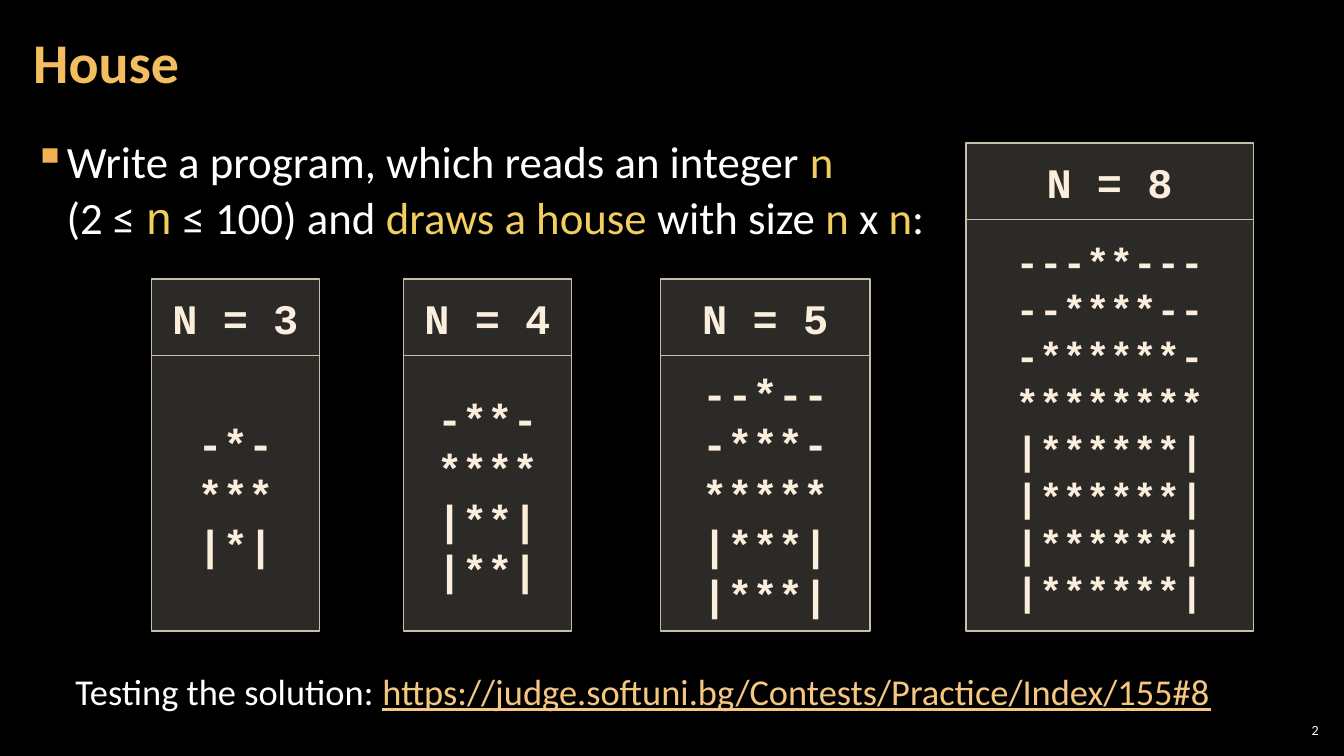
import pptx
import pptx.util
import pptx.dml.color
import pptx.enum.shapes
import pptx.enum.text
import pptx.oxml
import pptx.oxml.ns
from dataclasses import dataclass

Inches = pptx.util.Inches
Pt = pptx.util.Pt
Color = pptx.dml.color.RGBColor.from_string
Align = pptx.enum.text.PP_ALIGN
Anchor = pptx.enum.text.MSO_ANCHOR
qn = pptx.oxml.ns.qn


@dataclass(frozen=True)
class Theme:
    background: str = "000000"
    text: str = "FFFFFF"
    title: str = "F3BE60"
    highlight: str = "F3CD60"
    bullet: str = "F2B254"
    link: str = "F6C781"
    panel: str = "D9D5C7"
    panel_line: str = "C7BFAC"
    code: str = "FBEEDC"
    font: str = "Calibri"
    code_font: str = "Courier New"
    title_size: int = 40
    body_size: int = 32
    code_size: int = 30
    tall_code_size: int = 28
    link_size: int = 26
    number_size: int = 10


theme = Theme()


def style(font, name, size, color, bold=False):
    font.name = name
    font.size = Pt(size)
    font.color.rgb = Color(color)
    font.bold = bold


def add_text_box(left, top, width, height, anchor, margin=0.1, wrap=True):
    box = slide.shapes.add_textbox(Inches(left), Inches(top), Inches(width), Inches(height))
    frame = box.text_frame
    frame.word_wrap = wrap
    frame.vertical_anchor = anchor
    frame.margin_left = frame.margin_right = Inches(margin)
    frame.margin_top = frame.margin_bottom = Inches(0.04)
    return frame.paragraphs[0]


presentation = pptx.Presentation()
presentation.slide_width = Inches(13.33)
presentation.slide_height = Inches(7.5)
slide = presentation.slides.add_slide(presentation.slide_layouts[6])
slide.background.fill.solid()
slide.background.fill.fore_color.rgb = Color(theme.background)

title = add_text_box(0.21, 0.04, 10.47, 1.21, Anchor.MIDDLE, 0.12)
title.text = "House"
title.line_spacing = 0.9
style(title.font, theme.font, theme.title_size, theme.title, bold=True)

task = add_text_box(0.21, 1.26, 9.29, 1.3, Anchor.TOP, 0.12)
task.line_spacing = 1.05
properties = task._p.get_or_add_pPr()
properties.set("marL", str(Inches(0.33)))
properties.set("indent", str(-Inches(0.33)))
bullet_color = pptx.oxml.parse_xml(
    f'<a:buClr {pptx.oxml.ns.nsdecls("a")}><a:srgbClr val="{theme.bullet}"/></a:buClr>'
)
properties.append(bullet_color)
properties.append(properties.makeelement(qn("a:buChar"), {"char": "▪"}))
task_runs = [
    ("Write a program, which reads an integer ", theme.font, theme.text),
    ("n", theme.font, theme.highlight),
    ("\n", theme.font, theme.text),
    ("(2 ≤ ", theme.font, theme.text),
    ("n", theme.code_font, theme.highlight),
    (" ≤ 100) and ", theme.font, theme.text),
    ("draws a house ", theme.font, theme.highlight),
    ("with size ", theme.font, theme.text),
    ("n", theme.font, theme.highlight),
    (" x ", theme.font, theme.text),
    ("n", theme.font, theme.highlight),
    (":", theme.font, theme.text),
]
for text, font_name, color in task_runs:
    if text == "\n":
        task.add_line_break()
        continue
    run = task.add_run()
    run.text = text
    style(run.font, font_name, theme.body_size, color)

header_height = 0.76
houses_bottom = 6.26
houses = [
    (3, 1.5, 2.77, 1.67, theme.code_size),
    (4, 4, 2.77, 1.67, theme.code_size),
    (5, 6.55, 2.77, 2.08, theme.code_size),
    (8, 9.58, 1.42, 2.85, theme.tall_code_size),
]
for n, left, top, width, size in houses:
    roof = [("*" * stars).center(n, "-") for stars in range(2 - n % 2, n + 1, 2)]
    walls = ["|" + "*" * (n - 2) + "|"] * (n // 2)
    body_top = top + header_height
    panels = [
        (top, header_height, [f"N = {n}"], theme.code_size),
        (body_top, houses_bottom - body_top, roof + walls, size),
    ]
    for panel_top, height, lines, panel_size in panels:
        panel = slide.shapes.add_shape(
            pptx.enum.shapes.MSO_SHAPE.RECTANGLE,
            Inches(left), Inches(panel_top), Inches(width), Inches(height),
        )
        panel.shadow.inherit = False
        panel.fill.solid()
        panel.fill.fore_color.rgb = Color(theme.panel)
        fill_color = panel.fill._xPr.find(qn("a:solidFill"))[0]
        fill_color.append(fill_color.makeelement(qn("a:alpha"), {"val": "20000"}))
        panel.line.color.rgb = Color(theme.panel_line)
        panel.line.width = Pt(1)
        frame = panel.text_frame
        frame.word_wrap = True
        frame.vertical_anchor = Anchor.MIDDLE
        frame.text = "\n".join(lines)
        for paragraph in frame.paragraphs:
            paragraph.alignment = Align.CENTER
            style(paragraph.font, theme.code_font, panel_size, theme.code, bold=True)

testing = add_text_box(0.65, 6.6, 11.57, 0.54, Anchor.TOP, wrap=False)
for text, color, underline in [
    ("Testing the solution: ", theme.text, False),
    ("https://judge.softuni.bg/Contests/Practice/Index/155#8", theme.link, True),
]:
    run = testing.add_run()
    run.text = text
    style(run.font, theme.font, theme.link_size, color)
    run.font.underline = underline

number = add_text_box(12.65, 7.14, 0.47, 0.21, Anchor.MIDDLE, 0.04)
number.text = "2"
number.alignment = Align.RIGHT
style(number.font, theme.font, theme.number_size, theme.text)

presentation.save("out.pptx")
